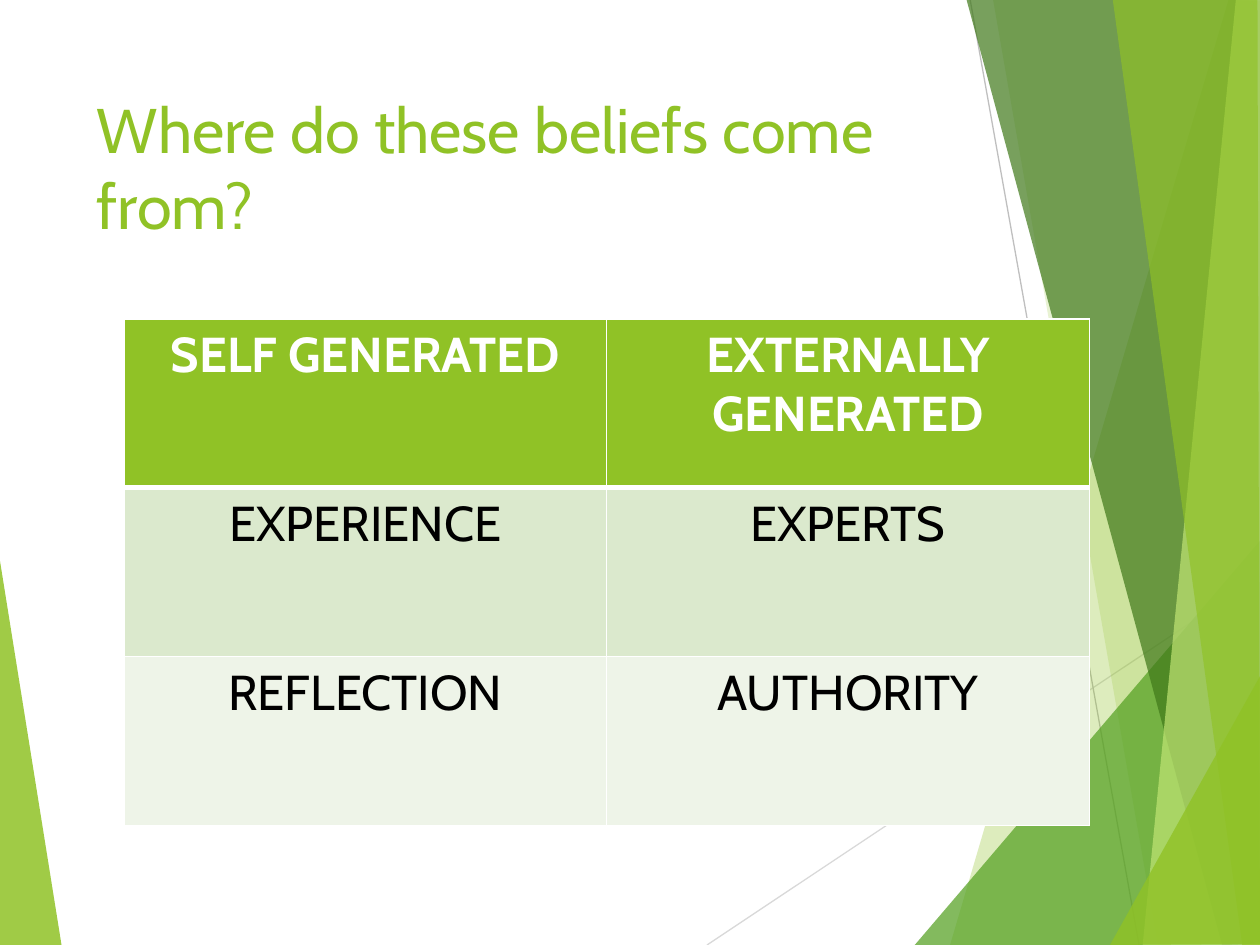
from lxml.etree import SubElement
from pptx import Presentation
from pptx.dml.color import RGBColor
from pptx.enum.shapes import MSO_CONNECTOR as Connector
from pptx.enum.text import MSO_ANCHOR as Anchor, MSO_AUTO_SIZE as AutoSize, PP_ALIGN as Align
from pptx.oxml.ns import qn
from pptx.util import Pt


def color(value):
    return RGBColor.from_string(value)


def format_font(font, values):
    for name, value in values.items():
        setattr(font, name, value)


deck = Presentation()
deck.slide_width, deck.slide_height = Pt(720), Pt(540)
page = deck.slides.add_slide(deck.slide_layouts[5])
shapes = page.shapes

rays = [
    ("90C226", 85, [(-0.7, 316), (35.3, 540.7), (-0.7, 540)]),
    ("D9D9D9", None, [(404, 540), (720.7, 329)]),
    ("BFBFBF", None, [(554.4, 0), (650.9, 540)]),
    ("90C226", 30, [(702, 0), (542.9, 540), (721.4, 540.7), (720.7, 0.7)]),
    ("90C226", 20, [(567.4, -0.7), (661.7, 540), (720.7, 540), (720.7, -0.7)]),
    ("54A021", 72, [(522.7, 540), (720, 309), (720.7, 540)]),
    ("3F7819", 70, [(552.2, -0.7), (698.4, 540), (720.7, 539.3), (720.7, -0.7)]),
    ("C0E474", 70, [(706.3, -0.7), (653, 540), (720.7, 540), (720, -0.7)]),
    ("90C226", 65, [(635.8, -0.7), (709.9, 540), (720, 540), (718.6, -0.7)]),
    ("90C226", 80, [(634.3, 540), (720.7, 385.2), (720.7, 539.3)]),
]
for tint, opacity, points in rays:
    corners = [(Pt(x), Pt(y)) for x, y in points]
    if opacity is None:
        line = shapes.add_connector(Connector.STRAIGHT, *corners[0], *corners[1])
        line.line.color.rgb = color(tint)
        line.line.width = Pt(0.75)
        SubElement(line.element.spPr, qn("a:effectLst"))
        continue
    builder = shapes.build_freeform(*corners[0])
    builder.add_line_segments(corners[1:], close=True)
    ray = builder.convert_to_shape()
    ray.shadow.inherit = False
    ray.line.fill.background()
    ray.fill.solid()
    ray.fill.fore_color.rgb = color(tint)
    fill = ray.element.spPr.find(qn("a:solidFill"))
    SubElement(fill[0], qn("a:alpha"), val=str(opacity * 1000))

title = shapes.title
title.left, title.top, title.width, title.height = Pt(48.2), Pt(48.2), Pt(499.7), Pt(103.7)
frame = title.text_frame
frame.text = "Where do these beliefs come from?"
frame.word_wrap = True
frame.auto_size = AutoSize.NONE
frame.vertical_anchor = Anchor.TOP
para = frame.paragraphs[0]
para.alignment = Align.LEFT
format_font(para.runs[0].font, {"name": "Cabin", "size": Pt(36)})
para.runs[0].font.color.rgb = color("90C226")

rows = [
    ("90C226", "FFFFFF", True, ["SELF GENERATED", "EXTERNALLY GENERATED"]),
    ("DBE9CD", "000000", False, ["EXPERIENCE", "EXPERTS"]),
    ("EEF4E8", "000000", False, ["REFLECTION", "AUTHORITY"]),
]
table = shapes.add_table(3, 2, Pt(70.9), Pt(182.2), Pt(551.6), Pt(289.5)).table
for row, (background, ink, bold, labels) in enumerate(rows):
    for column, label in enumerate(labels):
        cell = table.cell(row, column)
        cell.text = label
        para = cell.text_frame.paragraphs[0]
        para.alignment = Align.CENTER
        span = para.runs[0]
        format_font(span.font, {"name": "Cabin", "size": Pt(28), "bold": bold})
        span.font.color.rgb = color(ink)
        properties = cell._tc.get_or_add_tcPr()
        for side in ("L", "R", "T", "B"):
            thick = (row, side) in [(0, "B"), (1, "T")]
            border = SubElement(properties, qn(f"a:ln{side}"), w=str(Pt(3 if thick else 1)))
            SubElement(SubElement(border, qn("a:solidFill")), qn("a:srgbClr"), val="FFFFFF")
        cell.fill.solid()
        cell.fill.fore_color.rgb = color(background)

deck.save("out.pptx")
